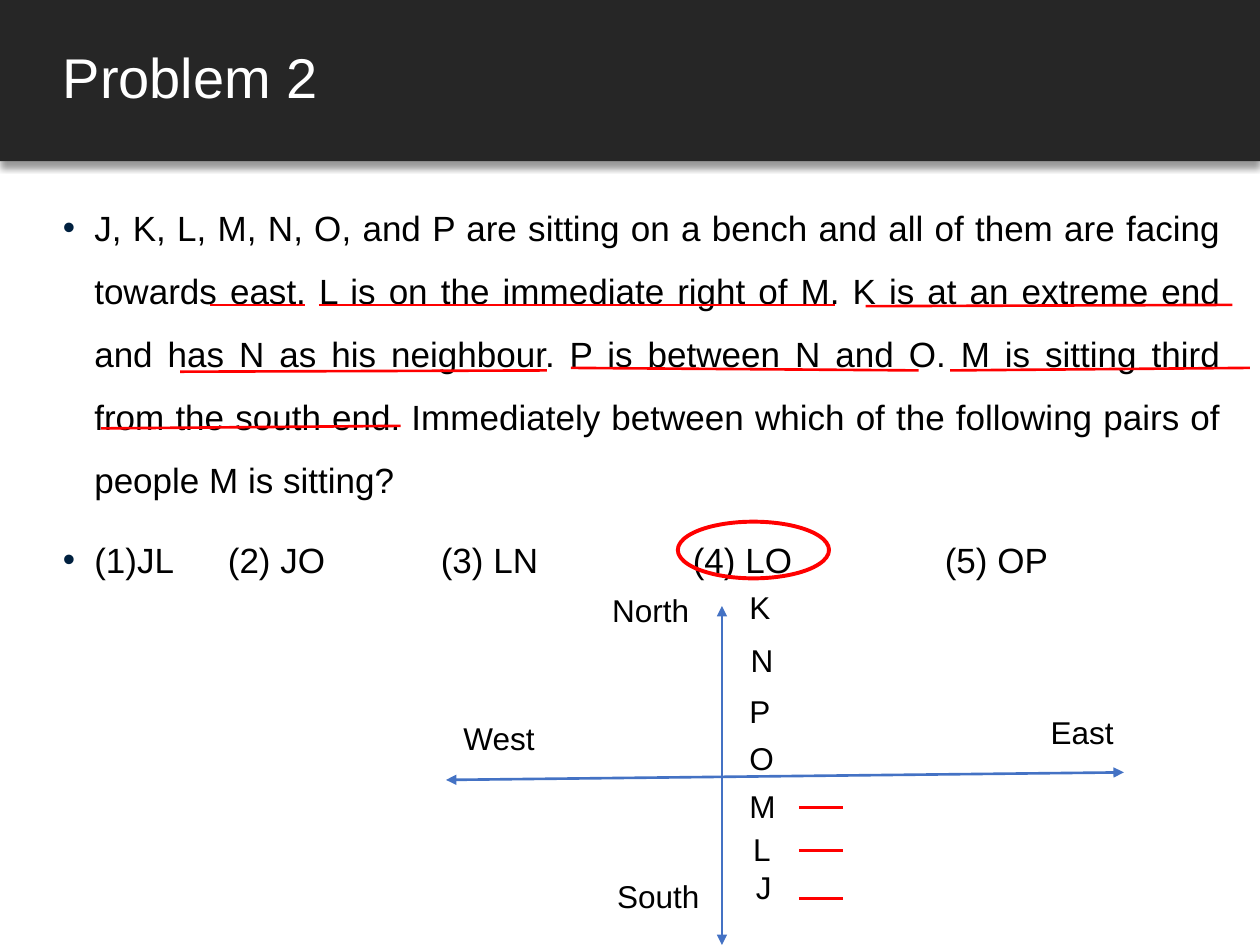
from typing import NamedTuple

from lxml.etree import SubElement
from pptx import Presentation
from pptx.dml.color import RGBColor
from pptx.enum.shapes import MSO_CONNECTOR, MSO_SHAPE
from pptx.enum.text import MSO_ANCHOR, MSO_AUTO_SIZE, PP_ALIGN
from pptx.oxml.ns import qn
from pptx.util import Inches, Pt

FONT = "Arial"
RED = "FF0000"
BLUE = "4472C4"
BLACK = "000000"


class Label(NamedTuple):
    text: str
    x: float
    y: float
    w: float


class Stroke(NamedTuple):
    x1: float
    y1: float
    x2: float
    y2: float


SEATS = [
    Label("K", 5.85, 4.62, 0.54),
    Label("N", 5.86, 5.04, 0.54),
    Label("P", 5.85, 5.44, 0.54),
    Label("O", 5.85, 5.82, 0.54),
    Label("M", 5.85, 6.2, 0.54),
    Label("L", 5.88, 6.54, 0.54),
    Label("J", 5.9, 6.84, 0.54),
]
DIRECTIONS = [
    Label("East", 8.24, 5.61, 0.96),
    Label("North", 4.76, 4.64, 0.96),
    Label("West", 3.58, 5.66, 0.96),
    Label("South", 4.8, 6.91, 0.96),
]
UNDERLINES = [
    Stroke(4.53, 2.92, 7.29, 2.94),
    Stroke(2.53, 2.42, 6.63, 2.42),
    Stroke(1.67, 2.42, 2.42, 2.42),
    Stroke(7.54, 2.94, 9.92, 2.92),
    Stroke(6.87, 2.43, 9.78, 2.42),
    Stroke(1.43, 2.95, 4.34, 2.94),
    Stroke(0.8, 3.4, 3.18, 3.38),
]
SEAT_MARKS = [Stroke(6.34, y, 6.69, y) for y in (7.13, 6.75, 6.41)]
AXES = [Stroke(5.73, 4.81, 5.73, 7.5), Stroke(3.54, 6.19, 8.92, 6.13)]
QUESTION = (
    "J, K, L, M, N, O, and P are sitting on a bench and all of them are facing "
    "towards east. L is on the immediate right of M. K is at an extreme end and "
    "has N as his neighbour. P is between N and O. M is sitting third from the "
    "south end. Immediately between which of the following pairs of people M is "
    "sitting?"
)
OPTIONS = "(1)JL\t(2) JO\t(3) LN\t(4) LO\t(5) OP"
OPTION_TABS = [1.31, 3, 5, 7]


def rgb(value: str) -> RGBColor:
    return RGBColor.from_string(value)


def add_box(slide, x: float, y: float, w: float, h: float):
    tf = slide.shapes.add_textbox(Inches(x), Inches(y), Inches(w), Inches(h)).text_frame
    tf.word_wrap = True
    return tf


def add_run(p, text: str, size: float, color: str = BLACK) -> None:
    r = p.add_run()
    r.text = text
    r.font.name = FONT
    r.font.size = Pt(size)
    r.font.color.rgb = rgb(color)


def add_label(slide, label: Label) -> None:
    tf = add_box(slide, label.x, label.y, label.w, 0.4)
    tf.auto_size = MSO_AUTO_SIZE.SHAPE_TO_FIT_TEXT
    add_run(tf.paragraphs[0], label.text, 18)


def add_stroke(slide, stroke: Stroke, color: str, arrows: bool = False) -> None:
    sp = slide.shapes.add_connector(
        MSO_CONNECTOR.STRAIGHT, *(Inches(v) for v in stroke))
    sp.line.color.rgb = rgb(color)
    sp.line.width = Pt(1.5)
    if arrows:
        ln = sp.line._get_or_add_ln()
        for end in ("a:headEnd", "a:tailEnd"):
            SubElement(ln, qn(end), type="triangle")
    SubElement(sp._element.spPr, qn("a:effectLst"))


def add_banner(slide) -> None:
    sp = slide.shapes.add_shape(
        MSO_SHAPE.RECTANGLE, 0, 0, Inches(10), Inches(1.28))
    sp.fill.solid()
    sp.fill.fore_color.rgb = rgb("262626")
    sp.line.fill.background()
    sp.shadow.inherit = False
    effects = sp._element.spPr.find(qn("a:effectLst"))
    shadow = SubElement(
        effects, qn("a:outerShdw"), blurRad=str(Pt(4)), dist=str(Pt(3)),
        dir="5400000", algn="t", rotWithShape="0")
    tint = SubElement(shadow, qn("a:srgbClr"), val=BLACK)
    SubElement(tint, qn("a:alpha"), val="40000")


def add_title(slide, text: str) -> None:
    tf = add_box(slide, 0.4, 0, 9.6, 1.28)
    tf.vertical_anchor = MSO_ANCHOR.MIDDLE
    p = tf.paragraphs[0]
    p.alignment = PP_ALIGN.JUSTIFY
    p.line_spacing = 0.9
    p.space_after = Pt(6)
    add_run(p, text, 32, "FFFFFF")


def format_bullet(p, tabs: list[float]) -> None:
    p.alignment = PP_ALIGN.JUSTIFY
    p.line_spacing = 1.5
    pPr = p._p.get_or_add_pPr()
    pPr.set("marL", str(Inches(0.25)))
    pPr.set("indent", str(Inches(-0.25)))
    SubElement(SubElement(pPr, qn("a:buClr")), qn("a:srgbClr"), val="00203F")
    SubElement(pPr, qn("a:buFont"), typeface=FONT)
    SubElement(pPr, qn("a:buChar"), char="•")
    if tabs:
        stops = SubElement(pPr, qn("a:tabLst"))
        for pos in tabs:
            SubElement(stops, qn("a:tab"), pos=str(Inches(pos)), algn="l")


def add_body(slide) -> None:
    tf = add_box(slide, 0.4, 1.42, 9.39, 5.91)
    p = tf.paragraphs[0]
    format_bullet(p, [])
    add_run(p, QUESTION, 20)
    p = tf.add_paragraph()
    p.space_before = Pt(10)
    format_bullet(p, OPTION_TABS)
    add_run(p, OPTIONS, 20)


def add_answer_ring(slide) -> None:
    sp = slide.shapes.add_shape(
        MSO_SHAPE.OVAL, Inches(5.38), Inches(4.14), Inches(1.2), Inches(0.45))
    sp.fill.background()
    sp.line.color.rgb = rgb(RED)
    sp.line.width = Pt(2.25)
    sp.shadow.inherit = False


def main() -> None:
    prs = Presentation()
    prs.slide_width = Inches(10)
    prs.slide_height = Inches(7.5)
    slide = prs.slides.add_slide(prs.slide_layouts[6])
    add_banner(slide)
    add_title(slide, "Problem 2")
    add_body(slide)
    for stroke in UNDERLINES:
        add_stroke(slide, stroke, RED)
    for label in SEATS + DIRECTIONS:
        add_label(slide, label)
    for axis in AXES:
        add_stroke(slide, axis, BLUE, arrows=True)
    for mark in SEAT_MARKS:
        add_stroke(slide, mark, RED)
    add_answer_ring(slide)
    prs.save("out.pptx")


if __name__ == "__main__":
    main()
